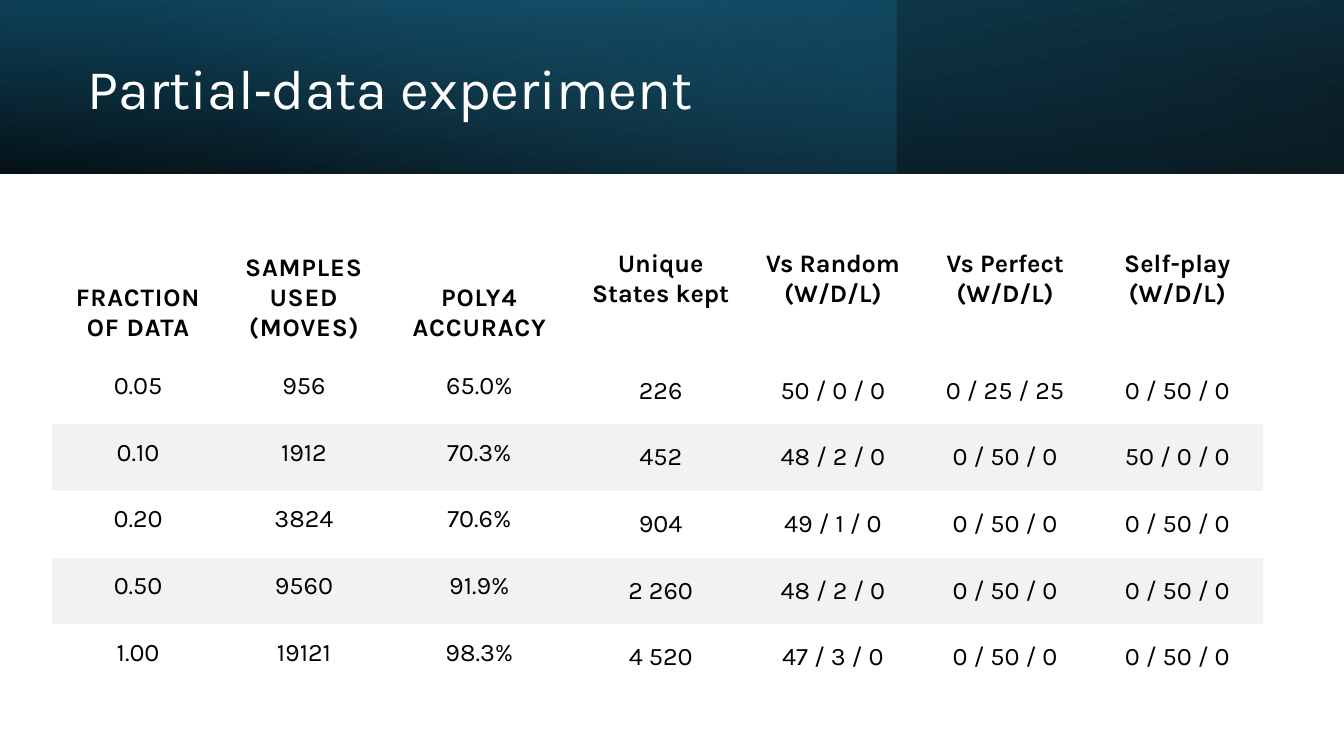
from lxml.etree import SubElement
from pptx import Presentation
from pptx.dml.color import RGBColor
from pptx.enum.shapes import MSO_SHAPE
from pptx.enum.text import MSO_ANCHOR, PP_ALIGN
from pptx.oxml.ns import qn
from pptx.util import Cm, Pt

COLORS = {"black": "000000", "white": "FFFFFF", "navy": "104862",
          "teal": "156082", "sky": "46B1E1", "band": "F2F2F2"}
FONT = "Karla"
NO_STYLE = "{2D5ABB26-0587-4C30-8999-92F81FD0307C}"


def format_run(run, size, color, bold=False):
    run.font.name = FONT
    run.font.size = Pt(size)
    run.font.bold = bold
    run.font.color.rgb = RGBColor.from_string(COLORS[color])


def fill_gradient(shape, stops, angle):
    """Fill with stops of (position, color, opacity), in percent; angle is clockwise degrees."""
    shape.fill.gradient()
    gradient = shape.element.spPr.find(qn("a:gradFill"))
    stop_list = gradient.find(qn("a:gsLst"))
    for old_stop in list(stop_list):
        stop_list.remove(old_stop)
    for position, color, opacity in stops:
        stop = SubElement(stop_list, qn("a:gs"), pos=str(position * 1000))
        rgb = SubElement(stop, qn("a:srgbClr"), val=COLORS[color])
        SubElement(rgb, qn("a:alpha"), val=str(opacity * 1000))
    gradient.find(qn("a:lin")).set("ang", str(angle * 60000))


presentation = Presentation()
presentation.slide_width = Cm(33.87)
presentation.slide_height = Cm(19.05)
slide = presentation.slides.add_slide(presentation.slide_layouts[5])

# Header band: width, rotation, flipped, gradient stops, gradient angle
header_layers = [
    (33.87, 180, True, [(0, "black", 96), (100, "navy", 100)], 100),
    (22.58, 0, False, [(0, "teal", 41), (74, "sky", 0)], 140),
    (33.87, 0, True, [(0, "black", 63), (78, "teal", 15)], 260),
]
for width, rotation, flipped, stops, angle in header_layers:
    layer = slide.shapes.add_shape(MSO_SHAPE.RECTANGLE, 0, 0, Cm(width), Cm(4.38))
    layer.shadow.inherit = False
    layer.line.fill.background()
    layer.rotation = rotation
    if flipped:
        layer.element.spPr.find(qn("a:xfrm")).set("flipH", "1")
    fill_gradient(layer, stops, angle)

# Title, brought in front of the header band
title = slide.shapes.title
title.left, title.top, title.width, title.height = Cm(1.96), Cm(0.69), Cm(19.6), Cm(3.22)
slide.shapes.element.append(title.element)
title.text_frame.text = "Partial‑data experiment"
title.text_frame.vertical_anchor = MSO_ANCHOR.MIDDLE
title_paragraph = title.text_frame.paragraphs[0]
title_paragraph.alignment = PP_ALIGN.LEFT
title_paragraph.line_spacing = 0.9
format_run(title_paragraph.runs[0], 40, "white")

# Results table
rows = [
    ["FRACTION OF DATA", "SAMPLES USED (MOVES)", "POLY4 ACCURACY", "Unique States kept",
     "Vs Random (W/D/L)", "Vs Perfect (W/D/L)", "Self-play (W/D/L)"],
    ["0.05", "956", "65.0%", "226", "50 / 0 / 0", "0 / 25 / 25", "0 / 50 / 0"],
    ["0.10", "1912", "70.3%", "452", "48 / 2 / 0", "0 / 50 / 0", "50 / 0 / 0"],
    ["0.20", "3824", "70.6%", "904", "49 / 1 / 0", "0 / 50 / 0", "0 / 50 / 0"],
    ["0.50", "9560", "91.9%", "2 260", "48 / 2 / 0", "0 / 50 / 0", "0 / 50 / 0"],
    ["1.00", "19121", "98.3%", "4 520", "47 / 3 / 0", "0 / 50 / 0", "0 / 50 / 0"],
]
column_widths = [4.32, 4.04, 4.8] + [4.34] * 4
row_heights = [3.96] + [1.68] * 5
data_columns = 3  # the first columns have wider margins than the match results

table_frame = slide.shapes.add_table(len(rows), len(column_widths), Cm(1.32), Cm(5.05),
                                     Cm(sum(column_widths)), Cm(sum(row_heights)))
table = table_frame.table
table.first_row = False
table.horz_banding = False
table_frame.element.find(".//" + qn("a:tableStyleId")).text = NO_STYLE
for column, width in zip(table.columns, column_widths):
    column.width = Cm(width)

for row_index, (values, height) in enumerate(zip(rows, row_heights)):
    table.rows[row_index].height = Cm(height)
    is_header = row_index == 0
    for column_index, value in enumerate(values):
        cell = table.cell(row_index, column_index)
        is_data = column_index < data_columns
        if is_data:
            side, top, bottom = 0.25, 0.38 if is_header else 0.13, 0.38
        else:
            side, top, bottom = 0.18, 0.08, 0.08
        cell.margin_left = cell.margin_right = Cm(side)
        cell.margin_top, cell.margin_bottom = Cm(top), Cm(bottom)
        cell.vertical_anchor = MSO_ANCHOR.BOTTOM if is_header and is_data else MSO_ANCHOR.MIDDLE
        if row_index in (2, 4):
            cell.fill.solid()
            cell.fill.fore_color.rgb = RGBColor.from_string(COLORS["band"])
        else:
            cell.fill.background()
        cell.text_frame.text = value
        paragraph = cell.text_frame.paragraphs[0]
        paragraph.alignment = PP_ALIGN.CENTER
        run = paragraph.runs[0]
        format_run(run, 18, "black", bold=is_header)
        if is_header and is_data:
            run.font.element.set("spc", "60") if hasattr(run.font, "element") else \
                paragraph.runs[0]._r.get_or_add_rPr().set("spc", "60")

presentation.save("out.pptx")
